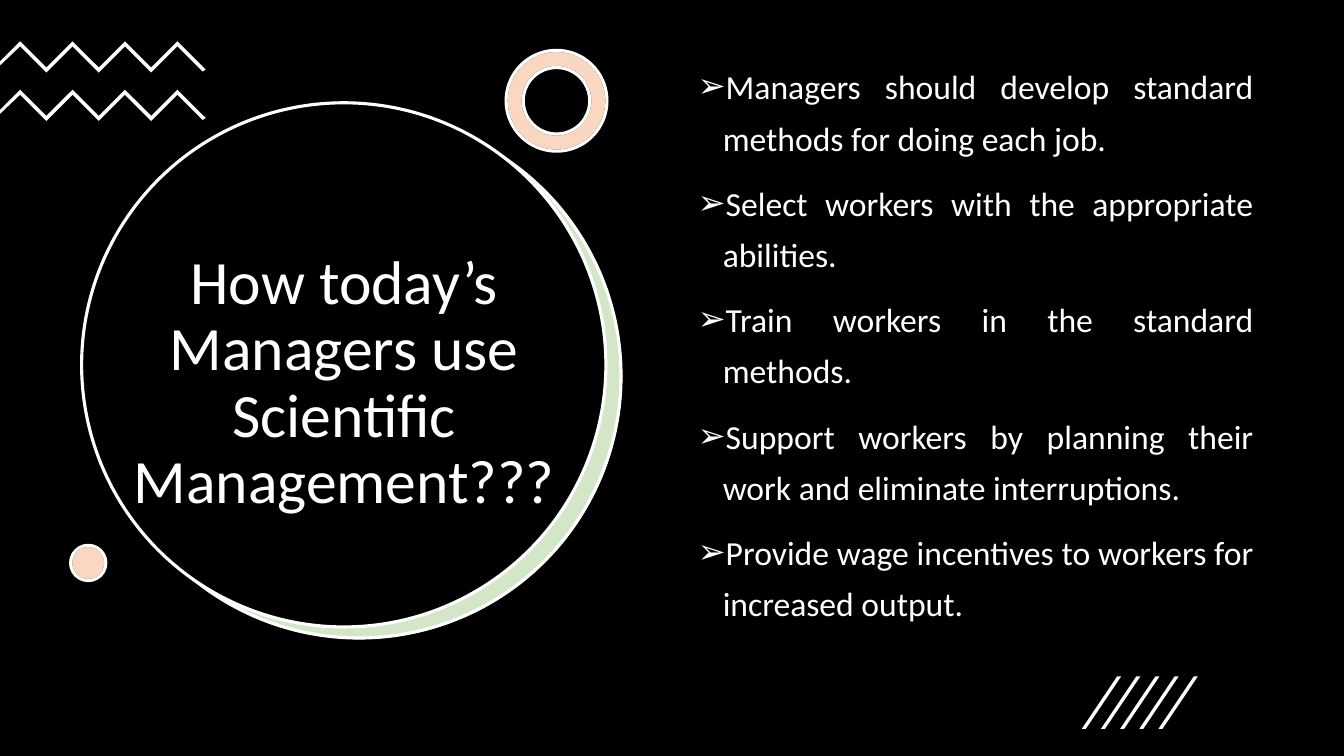
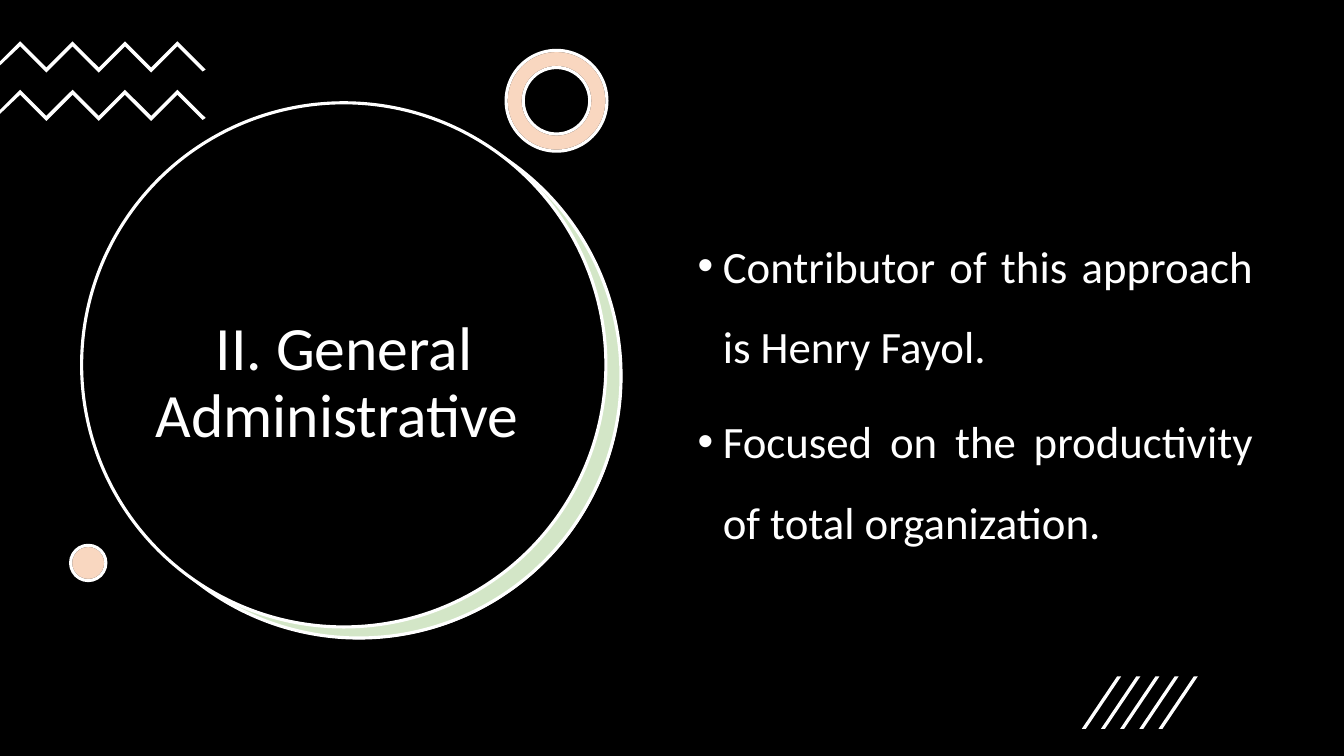
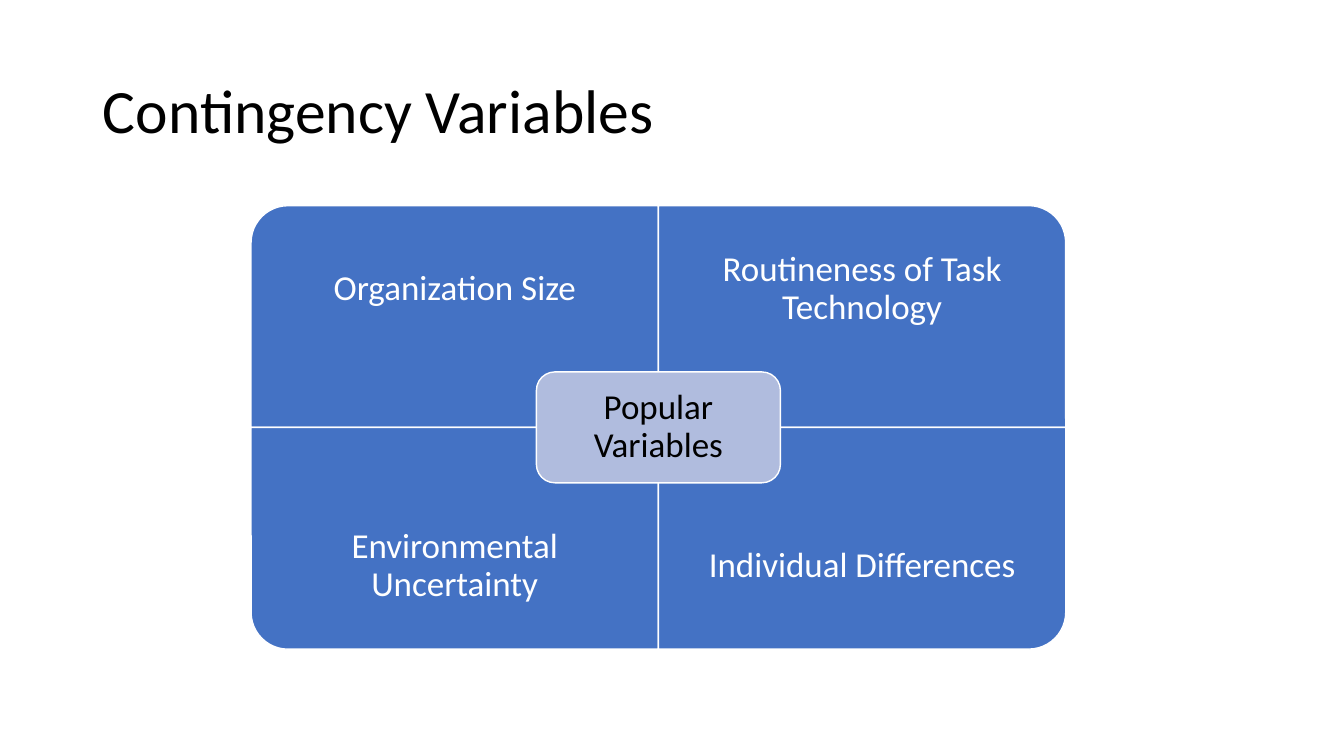
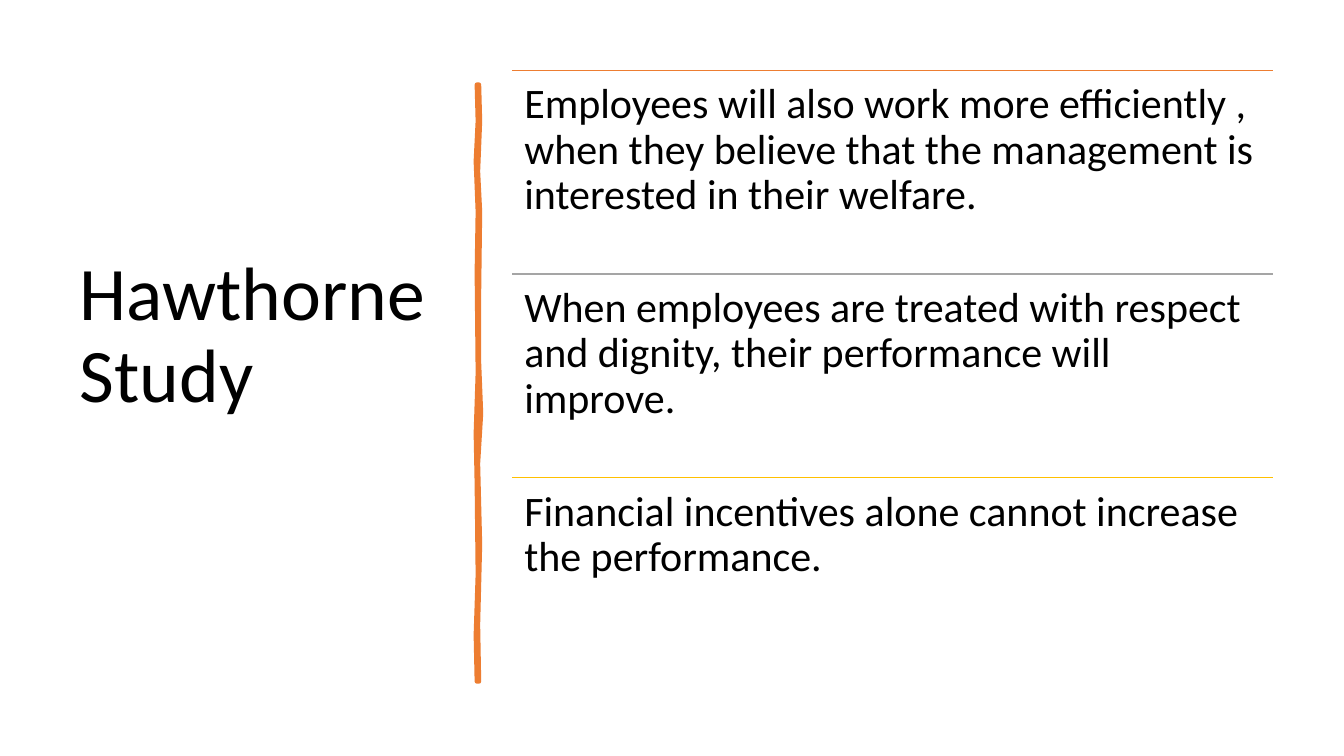
from lxml.etree import SubElement
from pptx import Presentation
from pptx.dml.color import RGBColor
from pptx.enum.shapes import MSO_CONNECTOR, MSO_SHAPE
from pptx.enum.text import MSO_ANCHOR, MSO_AUTO_SIZE, PP_ALIGN
from pptx.oxml.ns import qn
from pptx.util import Inches, Pt

OVAL, DONUT = MSO_SHAPE.OVAL, MSO_SHAPE.DONUT
ROUND_ONE, ROUND_ALL = MSO_SHAPE.ROUND_1_RECTANGLE, MSO_SHAPE.ROUNDED_RECTANGLE
STRAIGHT = MSO_CONNECTOR.STRAIGHT
TOP, MIDDLE = MSO_ANCHOR.TOP, MSO_ANCHOR.MIDDLE
LEFT, CENTER, JUSTIFY = PP_ALIGN.LEFT, PP_ALIGN.CENTER, PP_ALIGN.JUSTIFY
NO_AUTOFIT = MSO_AUTO_SIZE.NONE

FONT = "Calibri"
COLORS = {
    "black": "000000", "white": "FFFFFF", "green": "70AD47", "orange": "ED7D31",
    "blue": "4472C4", "pale blue": "B0BCDE", "gray": "A5A5A5", "gold": "FFC000",
}


def style_shape(shape, fill, line=None, width=1, opacity=None):
    shape.shadow.inherit = False
    shape.fill.solid()
    shape.fill.fore_color.rgb = RGBColor.from_string(COLORS[fill])
    if opacity:
        color = shape.fill._xPr.find(qn("a:solidFill"))[0]
        SubElement(color, qn("a:alpha"), val=str(opacity * 1000))
    if line:
        shape.line.color.rgb = RGBColor.from_string(COLORS[line])
        shape.line.width = Pt(width)
    else:
        shape.line.fill.background()


def write_text(box, texts, size, color, align=LEFT, anchor=MIDDLE, inset=None,
               spacing=0.9, bullet=None):
    frame = box.text_frame
    frame.word_wrap = True
    frame.auto_size = NO_AUTOFIT
    frame.vertical_anchor = anchor
    if inset:
        frame.margin_left = frame.margin_right = Inches(inset)
        frame.margin_top = frame.margin_bottom = Inches(inset)
    for index, text in enumerate(texts):
        para = frame.add_paragraph() if index else frame.paragraphs[0]
        para.text = text
        para.alignment = align
        para.line_spacing = spacing
        if index:
            para.space_before = Pt(10)
        if bullet:
            properties = para._p.get_or_add_pPr()
            properties.set("marL", str(Inches(0.25)))
            properties.set("indent", str(Inches(-0.25)))
            SubElement(properties, qn("a:buFont"), typeface="Arial")
            SubElement(properties, qn("a:buChar"), char=bullet)
        para.font.name = FONT
        para.font.size = Pt(size)
        para.font.color.rgb = RGBColor.from_string(COLORS[color])


deck = Presentation()
deck.slide_width, deck.slide_height = Inches(13.33), Inches(7.5)
title_only = deck.slide_layouts[5]

# Title of each slide: text, place, size, colour, alignment
TITLES = [
    ("How today’s Managers use Scientific Management???",
     (1.21, 2.05, 4.41, 3.52), 44, "white", CENTER),
    ("II. General Administrative ", (1.21, 2.05, 4.41, 3.52), 44, "white", CENTER),
    ("Contingency Variables", (0.92, 0.4, 11.5, 1.45), 44, "black", LEFT),
    ("Hawthorne Study", (0.69, 0.7, 3.74, 6.11), 54, "black", LEFT),
]
pages = []
for text, place, size, color, align in TITLES:
    page = deck.slides.add_slide(title_only)
    title = page.shapes.title
    title.left, title.top, title.width, title.height = [Inches(v) for v in place]
    write_text(title, [text], size, color, align)
    pages.append(page)

# Slides 1 and 2: bullets beside a circled title
BULLET_LISTS = [
    ((6.82, 0.5, 5.71, 6.21), 24, 1.27, "➢", [
        "Managers should develop standard methods for doing each job.",
        "Select workers with the appropriate abilities.",
        "Train workers in the standard methods.",
        "Support workers by planning their work and eliminate interruptions.",
        "Provide wage incentives to workers for increased output.",
    ]),
    ((6.82, 2.05, 5.71, 3.94), 32, 1.5, "•", [
        "Contributor of this approach is Henry Fayol.",
        "Focused on the productivity of total organization.",
    ]),
]
# Round ornaments: shape, left, top, size, fill, opacity, line
ROUNDS = [
    (OVAL, 0.97, 1.14, 5.2, "white", None, None),
    (OVAL, 0.96, 1.13, 5.2, "green", 30, "white"),
    (OVAL, 0.81, 1.02, 5.2, "black", None, "white"),
    (DONUT, 5.02, 0.5, 1, "white", None, "black"),
    (DONUT, 5.02, 0.5, 1, "orange", 30, "white"),
    (OVAL, 0.7, 5.41, 0.35, "white", None, "black"),
    (OVAL, 0.7, 5.41, 0.35, "orange", 30, "white"),
]
# Outlines of the two zigzags and the five slashes
zigzag_top = [(0.2 + 0.26 * i, 0.41 + 0.26 * (i % 2)) for i in range(7)]
zigzag_bottom = [(x, y + 0.05) for x, y in reversed(zigzag_top)]
zigzag = zigzag_top + [(2.04, 0.69), (2.01, 0.71)] + zigzag_bottom + [(0, 0.65), (0, 0.61)]
slash = [(10.77, 7.23), (10.73, 7.23), (11.08, 6.71), (11.12, 6.71)]
outlines = [[(x, y + 0.48 * i) for x, y in zigzag] for i in range(2)]
outlines += [[(x + 0.19 * i, y) for x, y in slash] for i in range(5)]

for page, (place, size, spacing, bullet, texts) in zip(pages, BULLET_LISTS):
    page.background.fill.solid()
    page.background.fill.fore_color.rgb = RGBColor.from_string(COLORS["black"])
    for kind, left, top, side, fill, opacity, line in ROUNDS:
        ornament = page.shapes.add_shape(
            kind, Inches(left), Inches(top), Inches(side), Inches(side))
        style_shape(ornament, fill, line, 2.25, opacity)
        if kind == DONUT:
            ornament.adjustments[0] = 0.17
    for outline in outlines:
        points = [(Inches(x), Inches(y)) for x, y in outline]
        builder = page.shapes.build_freeform(*points[0])
        builder.add_line_segments(points[1:])
        style_shape(builder.convert_to_shape(), "white")
    # Bring the title in front of the circle
    title = page.shapes.title.element
    title.getparent().append(title)
    body = page.shapes.add_textbox(*[Inches(v) for v in place])
    write_text(body, texts, size, "white", JUSTIFY, TOP, spacing=spacing, bullet=bullet)

# Slide 3: four quadrants around a centre label
page = pages[2]
QUADRANTS = [
    ("Organization Size", 0, 0, 270),
    ("Routineness of Task Technology", 1, 0, 0),
    ("Environmental Uncertainty", 0, 1, 180),
    ("Individual Differences", 1, 1, 90),
]
grid_left, grid_top, cell_width, cell_height, label_height = 2.49, 2.04, 4.04, 2.2, 1.65
for text, column, row, rotation in QUADRANTS:
    left, top = grid_left + column * cell_width, grid_top + row * cell_height
    # A quarter turn swaps width and height about the same centre
    width, height = cell_width, cell_height
    if rotation % 180:
        width, height = height, width
    quadrant = page.shapes.add_shape(
        ROUND_ONE, Inches(left + (cell_width - width) / 2),
        Inches(top + (cell_height - height) / 2), Inches(width), Inches(height))
    quadrant.rotation = rotation
    style_shape(quadrant, "blue", "white")
    label_top = top + row * (cell_height - label_height)
    label = page.shapes.add_textbox(
        Inches(left), Inches(label_top), Inches(cell_width), Inches(label_height))
    write_text(label, [text], 25, "white", CENTER, inset=0.19)
hub = page.shapes.add_shape(ROUND_ALL, Inches(5.32), Inches(3.69), Inches(2.42), Inches(1.1))
style_shape(hub, "pale blue", "white")
write_text(hub, ["Popular Variables"], 25, "black", CENTER, inset=0.15)

# Slide 4: title raised by one line, brush stroke and ruled statements
page = pages[3]
page.shapes.title.text_frame.margin_bottom = Inches(0.87)
right_edge = [(4.75, 0.84), (4.76, 1.2), (4.74, 1.7), (4.76, 2.1), (4.75, 2.9), (4.75, 3.6),
              (4.77, 4.1), (4.74, 4.6), (4.76, 5.4), (4.74, 6.2), (4.75, 6.76)]
left_edge = [(4.73, 6.76), (4.72, 6.3), (4.74, 5.7), (4.73, 4.8), (4.72, 4.3),
             (4.74, 3.7), (4.73, 2.7), (4.74, 2.1), (4.72, 1.6), (4.74, 1.2), (4.73, 0.84)]
points = [(Inches(x), Inches(y)) for x, y in right_edge + left_edge]
builder = page.shapes.build_freeform(*points[0])
builder.add_line_segments(points[1:])
style_shape(builder.convert_to_shape(), "orange", "orange", 3.25)

STATEMENTS = [
    ("orange", "Employees will also work more efficiently , when they believe that "
               "the management is interested in their welfare."),
    ("gray", "When employees are treated with respect and dignity, their performance "
             "will improve."),
    ("gold", "Financial incentives alone cannot increase the performance."),
]
left, width, height = Inches(5.08), Inches(7.55), Inches(2.02)
for index, (color, text) in enumerate(STATEMENTS):
    top = Inches(0.7) + index * height
    rule = page.shapes.add_connector(STRAIGHT, left, top, left + width, top)
    rule.line.color.rgb = RGBColor.from_string(COLORS[color])
    rule.line.width = Pt(1)
    SubElement(rule._element.spPr, qn("a:effectLst"))
    statement = page.shapes.add_textbox(left, top, width, height)
    write_text(statement, [text], 30, "black", anchor=TOP, inset=0.12)

deck.save("out.pptx")
